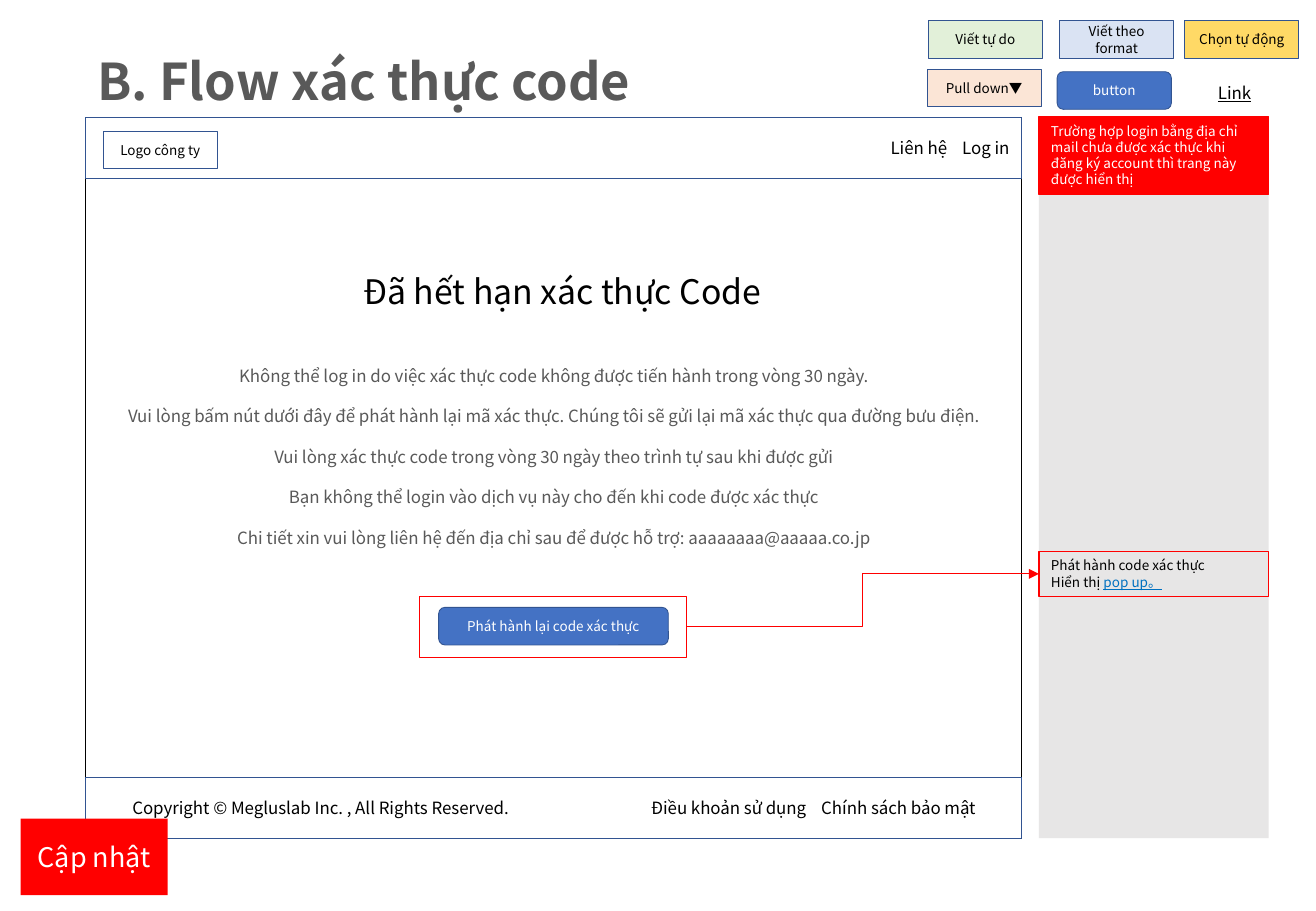
import pptx
import pptx.util
import pptx.dml.color
import pptx.enum.shapes
import pptx.enum.text
import pptx.oxml
import pptx.oxml.ns
from pptx.util import Inches

FONT = "Noto Sans CJK JP"
HUES = {
    "black": "000000", "white": "FFFFFF", "gray": "595959", "pale": "E7E6E6",
    "blue": "4472C4", "navy": "325491", "red": "FF0000", "link": "0070C0",
    "green": "E2F0D9", "peach": "FBE5D6", "sky": "DAE3F3", "gold": "FFD966",
}
KINDS = pptx.enum.shapes.MSO_SHAPE
ALIGN = pptx.enum.text.PP_ALIGN
ANCHOR = pptx.enum.text.MSO_ANCHOR
NS = pptx.oxml.ns.nsdecls("a")


class Page:
    def __init__(self, slide):
        self.slide = slide

    def hue(self, name):
        return pptx.dml.color.RGBColor.from_string(HUES[name])

    def label(self, shape, lines, size, color="black", align=ALIGN.CENTER,
              anchor=ANCHOR.MIDDLE, bold=None, under=None, gap=0, tabs=()):
        frame = shape.text_frame
        frame.word_wrap = True
        frame.vertical_anchor = anchor
        for i, line in enumerate(lines):
            para = frame.add_paragraph() if i else frame.paragraphs[0]
            if tabs:
                stops = "".join(f'<a:tab pos="{Inches(t)}" algn="l"/>' for t in tabs)
                para._p.get_or_add_pPr().append(
                    pptx.oxml.parse_xml(f"<a:tabLst {NS}>{stops}</a:tabLst>"))
            para.alignment = align
            para.line_spacing = pptx.util.Pt(size * 1.2)
            if i and gap:
                para.space_before = pptx.util.Pt(gap)
            font = para.font
            font.name = FONT
            font.size = pptx.util.Pt(size)
            font.bold = bold
            font.underline = under
            font.color.rgb = self.hue(color)
            para.add_run().text = line

    def box(self, x, y, w, h, fill=None, line=None, width=0.5, kind=KINDS.RECTANGLE):
        shape = self.slide.shapes.add_shape(
            kind, Inches(x), Inches(y), Inches(w), Inches(h))
        shape.shadow.inherit = False
        if fill:
            shape.fill.solid()
            shape.fill.fore_color.rgb = self.hue(fill)
        else:
            shape.fill.background()
        if line:
            shape.line.color.rgb = self.hue(line)
            shape.line.width = pptx.util.Pt(width)
        else:
            shape.line.fill.background()
        return shape

    def text(self, x, y, w, h, lines, size, **style):
        shape = self.slide.shapes.add_textbox(
            Inches(x), Inches(y), Inches(w), Inches(h))
        self.label(shape, lines, size, anchor=ANCHOR.TOP, **style)

    def tag(self, x, y, words, fill=None):
        self.label(self.box(x, y, 0.94, 0.31, fill, "navy"), [words], 8)

    def button(self, x, y, w, words):
        shape = self.box(x, y, w, 0.31, "blue", "navy", kind=KINDS.ROUNDED_RECTANGLE)
        self.label(shape, [words], 8, "white")

    def bar(self, y, words, tabs):
        shape = self.box(0.7, y, 7.71, 0.5, line="navy")
        self.label(shape, [words], 10, align=ALIGN.LEFT, tabs=tabs)

    def note(self, y, h, lines, fill=None, color="black"):
        shape = self.box(8.55, y, 1.89, h, fill, "red", 0.75)
        self.label(shape, lines, 8, color, ALIGN.LEFT, ANCHOR.TOP)
        return shape

    def arrow(self, start, end):
        wire = self.slide.shapes.add_connector(
            pptx.enum.shapes.MSO_CONNECTOR.ELBOW, 0, 0, 0, 0)
        wire.begin_connect(start, 3)
        wire.end_connect(end, 1)
        wire.line.color.rgb = self.hue("red")
        wire.line.width = pptx.util.Pt(0.5)
        props = wire._element.spPr
        props.find(pptx.oxml.ns.qn("a:ln")).append(
            pptx.oxml.parse_xml(f'<a:tailEnd {NS} type="triangle"/>'))
        props.append(pptx.oxml.parse_xml(f"<a:effectLst {NS}/>"))


def main():
    deck = pptx.Presentation()
    deck.slide_width = Inches(10.83)
    deck.slide_height = Inches(7.5)
    page = Page(deck.slides.add_slide(deck.slide_layouts[6]))

    page.text(0.7, 0.36, 9.39, 0.61, ["B. Flow xác thực code"], 30,
              color="gray", align=ALIGN.LEFT, bold=True)
    page.box(8.55, 0.97, 1.89, 5.93, "pale")
    page.box(0.7, 0.97, 7.71, 5.93, line="black")
    page.text(0.7, 2.96, 7.71, 1.78, [
        "Không thể log in do việc xác thực code không được tiến hành trong vòng 30 ngày.",
        "Vui lòng bấm nút dưới đây để phát hành lại mã xác thực. "
        "Chúng tôi sẽ gửi lại mã xác thực qua đường bưu điện.",
        "Vui lòng xác thực code trong vòng 30 ngày theo trình tự sau khi được gửi",
        "Bạn không thể login vào dịch vụ này cho đến khi code được xác thực",
        "Chi tiết xin vui lòng liên hệ đến địa chỉ sau để được hỗ trợ: aaaaaaaa@aaaaa.co.jp",
    ], 10, color="gray", gap=12)

    page.button(3.61, 5, 1.89, "Phát hành lại code xác thực")
    frame = page.box(3.45, 4.91, 2.2, 0.5, line="red")
    note = page.note(4.54, 0.37, ["Phát hành code xác thực", "Hiển thị "])
    link = note.text_frame.paragraphs[1].add_run()
    link.text = "pop up。"
    link.font.underline = True
    link.font.color.rgb = page.hue("link")
    page.arrow(frame, note)

    page.text(1.48, 2.18, 6.3, 0.44, ["Đã hết hạn xác thực Code"], 20)
    page.bar(0.97, "\tLiên hệ\tLog in", (6.53, 7.12))
    page.tag(0.85, 1.08, "Logo công ty")
    page.bar(6.4, "\tCopyright © Megluslab Inc. , All Rights Reserved."
             "\tĐiều khoản sử dụng\tChính sách bảo mật", (0.29, 4.56, 5.96))
    page.note(0.96, 0.64, [
        "Trường hợp login bằng địa chỉ mail chưa được xác thực khi "
        "đăng ký account thì trang này được hiển thị"], "red", "white")
    page.label(page.box(0.17, 6.74, 1.21, 0.63, "red"), ["Cập nhật"], 16, "white")

    page.button(8.7, 0.59, 0.94, "button")
    for x, y, words, fill in (
        (7.64, 0.17, "Viết tự do", "green"),
        (7.63, 0.57, "Pull down▼", "peach"),
        (8.72, 0.17, "Viết theo format", "sky"),
        (9.75, 0.17, "Chọn tự động", "gold"),
    ):
        page.tag(x, y, words, fill)
    page.text(9.69, 0.63, 0.94, 0.27, ["Link"], 10, under=True)

    deck.save("out.pptx")


if __name__ == "__main__":
    main()
